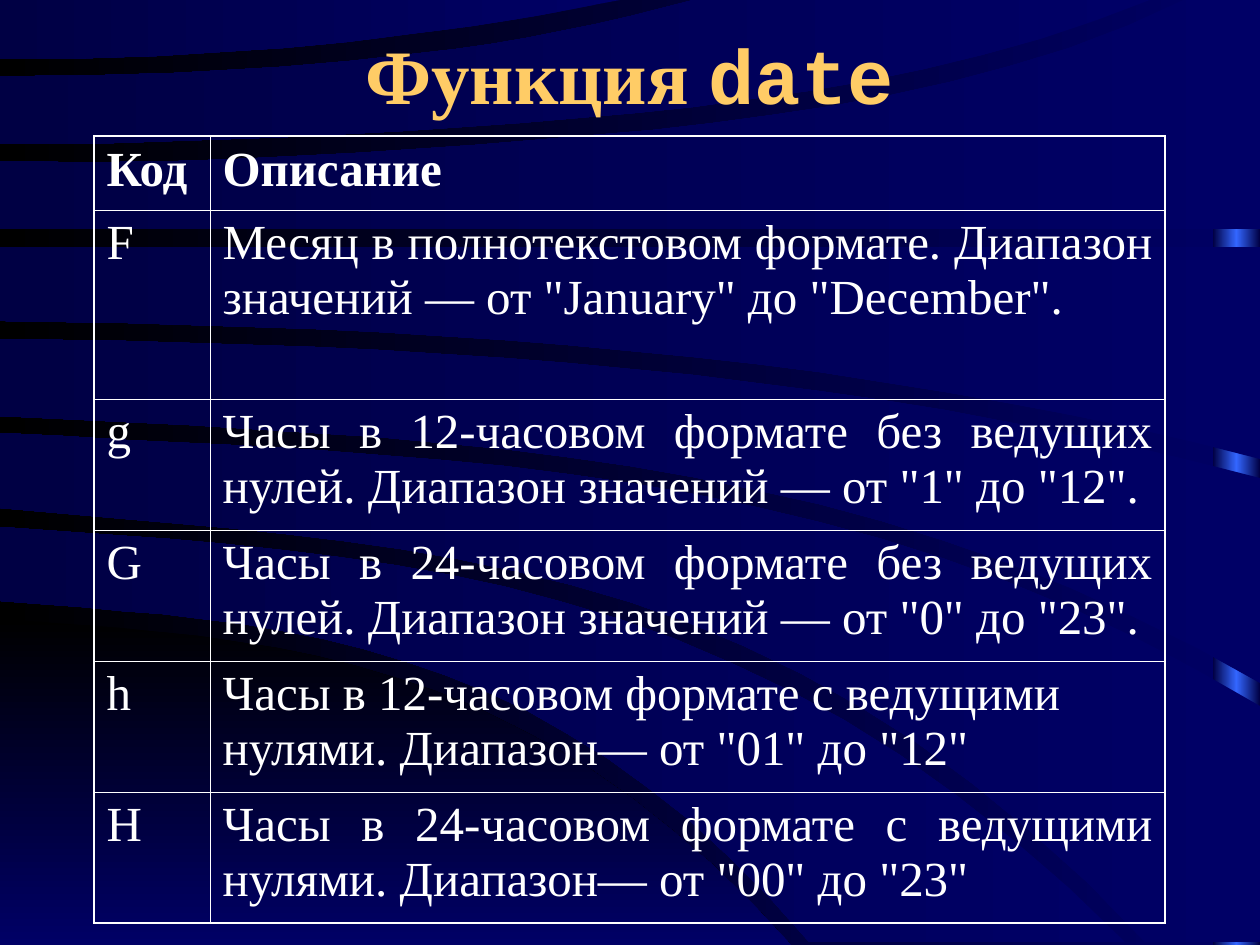
from copy import deepcopy
from dataclasses import dataclass
from math import prod

from lxml import etree
from pptx import Presentation
from pptx.dml.color import RGBColor
from pptx.dml.fill import FillFormat
from pptx.enum.shapes import MSO_SHAPE
from pptx.enum.text import MSO_ANCHOR, PP_ALIGN
from pptx.oxml.ns import qn
from pptx.slide import Slide
from pptx.table import _Cell
from pptx.text.text import _Paragraph
from pptx.util import Emu, Pt

RECTANGLE = MSO_SHAPE.RECTANGLE
MIDDLE, TOP = MSO_ANCHOR.MIDDLE, MSO_ANCHOR.TOP
LEFT, CENTER, JUSTIFY = PP_ALIGN.LEFT, PP_ALIGN.CENTER, PP_ALIGN.JUSTIFY

SCALE = 914400 / 126
WIDTH, HEIGHT = 1260, 945
CURVE_STEPS = 20
NAVY, DEEP, BLACK, BRIGHT = "000066", "000044", "000000", "3366FF"
GOLD, WHITE = "FFCC66", "FFFFFF"
SERIF, MONO = "Times New Roman", "Courier New"
OUTER_BORDER, INNER_BORDER = 1.08, 0.45

Points = list[tuple[int, int]]


@dataclass
class Band:
    """A filled area between two smooth edges, each given by points it passes through."""
    upper: Points
    lower: Points
    corner: tuple[int, int] | None = None
    colors: tuple[str, ...] = (NAVY, DEEP)
    angle: int = 180


@dataclass
class Row:
    code: str
    description: str
    height: int = 131
    bold: bool = False
    code_align: PP_ALIGN = JUSTIFY
    description_align: PP_ALIGN = JUSTIFY


BANDS = [
    Band([(0, 619), (275, 648), (582, 764), (791, 945)], [(0, 945), (791, 945)],
         colors=(BLACK, NAVY), angle=270),
    Band([(0, 527), (422, 570), (811, 702), (1125, 942)],
         [(0, 601), (278, 630), (572, 736), (809, 942)]),
    Band([(0, 433), (484, 464), (930, 554), (WIDTH, 706)],
         [(0, 508), (454, 558), (854, 703), (1145, 942)], (WIDTH, 942)),
    Band([(0, 339), (440, 354), (900, 403), (WIDTH, 478)],
         [(0, 416), (512, 450), (936, 538), (WIDTH, 683)]),
    Band([(0, 247), (WIDTH, 247)], [(0, 321), (490, 339), (885, 382), (WIDTH, 459)]),
    Band([(0, 161), (256, 158), (586, 136), (925, 88), (1188, -2)],
         [(0, 229), (WIDTH, 229)], (WIDTH, -2)),
    Band([(0, 77), (248, 69), (524, 38), (701, -2)],
         [(0, 144), (285, 137), (591, 117), (934, 67), (1155, -2)]),
    Band([(0, -2), (631, -2)], [(0, 59), (255, 50), (436, 31), (631, -2)]),
]

ROWS = [
    Row("Код", "Описание", 74, bold=True),
    Row("F", "Месяц в полнотекстовом формате. Диапазон значений — "
        'от "January" до "December".', 189),
    Row("g", "Часы в 12-часовом формате без ведущих нулей. Диапазон значений — "
        'от "1" до "12".'),
    Row("G", "Часы в 24-часовом формате без ведущих нулей. Диапазон значений — "
        'от "0" до "23".', code_align=LEFT),
    Row("h", 'Часы в 12-часовом формате с ведущими нулями. Диапазон— от "01" до "12"',
        description_align=LEFT),
    Row("H", 'Часы в 24-часовом формате с ведущими нулями. Диапазон— от "00" до "23"',
        code_align=LEFT),
]
COLUMN_WIDTHS = (116, 955)


def px(length: int) -> Emu:
    return Emu(round(length * SCALE))


def rgb(color: str) -> RGBColor:
    return RGBColor.from_string(color)


def set_gradient(fill: FillFormat, colors: tuple[str, ...], angle: int) -> None:
    """Color the existing gradient stops at equal steps."""
    fill.gradient_angle = angle
    for index, (stop, color) in enumerate(zip(fill.gradient_stops, colors)):
        stop.color.rgb = rgb(color)
        stop.position = index / (len(colors) - 1)


def add_text(paragraph: _Paragraph, text: str, *, size: int, color: str = WHITE,
             font: str = SERIF, bold: bool = False, align: PP_ALIGN = LEFT) -> None:
    paragraph.alignment = align
    run = paragraph.add_run()
    run.text = text
    run.font.size, run.font.name, run.font.bold = Pt(size), font, bold
    run.font.color.rgb = rgb(color)


def draw_strip(slide: Slide) -> None:
    strip = slide.shapes.add_shape(RECTANGLE, px(1213), 0, px(47), px(HEIGHT))
    strip.shadow.inherit = False
    strip.line.fill.background()
    strip.fill.gradient()
    stops = next(strip.element.iter(qn("a:gsLst")))
    stops.insert(1, deepcopy(stops[0]))
    set_gradient(strip.fill, (DEEP, BRIGHT, DEEP), 180)


def trace_edge(knots: Points) -> Points:
    """Sample the Lagrange polynomial through the knots; two knots stay a straight line."""
    if len(knots) == 2:
        return knots
    first, last = knots[0][0], knots[-1][0]
    edge = []
    for step in range(CURVE_STEPS + 1):
        x = first + (last - first) * step / CURVE_STEPS
        y = sum(knot_y * prod((x - other) / (knot_x - other)
                              for other, _ in knots if other != knot_x)
                for knot_x, knot_y in knots)
        edge.append((round(x), round(y)))
    return edge


def draw_band(slide: Slide, band: Band) -> None:
    corner = [band.corner] if band.corner else []
    start, *outline = trace_edge(band.upper) + corner + trace_edge(band.lower)[::-1]
    builder = slide.shapes.build_freeform(*start, scale=SCALE)
    builder.add_line_segments(outline, close=True)
    shape = builder.convert_to_shape()
    shape.shadow.inherit = False
    shape.line.fill.background()
    shape.fill.gradient()
    set_gradient(shape.fill, band.colors, band.angle)


def draw_title(slide: Slide) -> None:
    title = slide.shapes.title
    title.element.getparent().append(title.element)  # in front of the bands
    title.left, title.top, title.width, title.height = px(94), px(21), px(1071), px(105)
    title.text_frame.vertical_anchor = MIDDLE
    for text, font in (("Функция ", SERIF), ("date", MONO)):
        add_text(title.text_frame.paragraphs[0], text, size=44, color=GOLD,
                 font=font, bold=True, align=CENTER)


def set_borders(cell: _Cell, outer_sides: dict[str, bool]) -> None:
    properties = cell._tc.get_or_add_tcPr()
    for index, (side, is_outer) in enumerate(outer_sides.items()):
        width = Pt(OUTER_BORDER if is_outer else INNER_BORDER)
        line = etree.Element(qn(f"a:ln{side}"), w=str(int(width)))
        solid = etree.SubElement(line, qn("a:solidFill"))
        etree.SubElement(solid, qn("a:srgbClr"), val=WHITE)
        properties.insert(index, line)


def draw_table(slide: Slide) -> None:
    heights = [row.height for row in ROWS]
    table = slide.shapes.add_table(len(ROWS), len(COLUMN_WIDTHS), px(94), px(136),
                                   px(sum(COLUMN_WIDTHS)), px(sum(heights))).table
    table.first_row = table.horz_banding = False
    for column, width in zip(table.columns, COLUMN_WIDTHS):
        column.width = px(width)
    for row_index, row in enumerate(ROWS):
        table.rows[row_index].height = px(row.height)
        contents = ((row.code, row.code_align), (row.description, row.description_align))
        for column_index, (text, align) in enumerate(contents):
            cell = table.cell(row_index, column_index)
            cell.fill.background()
            cell.vertical_anchor = TOP
            set_borders(cell, {"L": column_index == 0, "R": column_index == 1,
                               "T": row_index == 0, "B": row_index == len(ROWS) - 1})
            add_text(cell.text_frame.paragraphs[0], text, size=28, bold=row.bold, align=align)


def main() -> None:
    presentation = Presentation()
    presentation.slide_width, presentation.slide_height = px(WIDTH), px(HEIGHT)
    slide = presentation.slides.add_slide(presentation.slide_layouts[5])
    slide.background.fill.gradient()
    set_gradient(slide.background.fill, (NAVY, BLACK), 180)
    draw_strip(slide)
    for band in BANDS:
        draw_band(slide, band)
    draw_title(slide)
    draw_table(slide)
    presentation.save("out.pptx")


if __name__ == "__main__":
    main()
